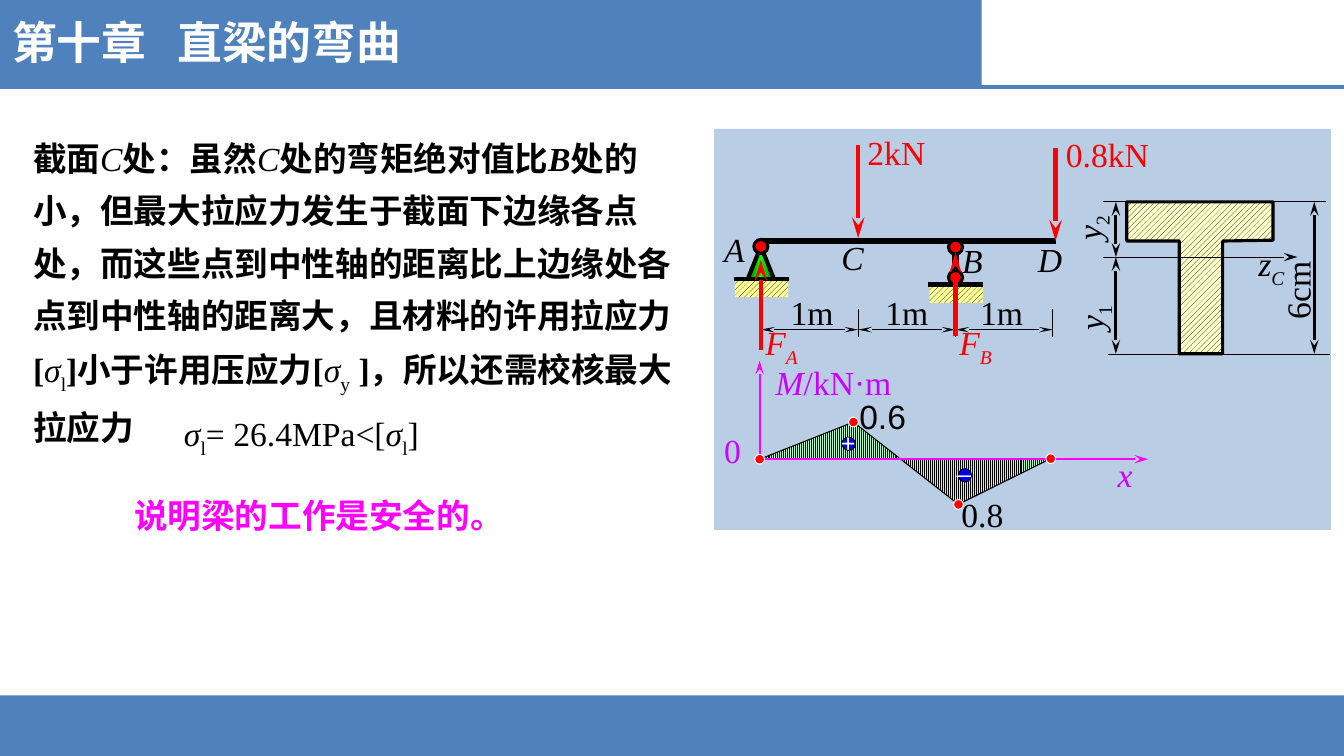
from copy import deepcopy
from itertools import pairwise
from lxml.etree import SubElement
from pptx import Presentation
from pptx.dml.color import RGBColor
from pptx.enum.dml import MSO_PATTERN
from pptx.enum.shapes import MSO_CONNECTOR, MSO_SHAPE
from pptx.enum.text import MSO_ANCHOR, PP_ALIGN
from pptx.oxml.ns import qn
from pptx.util import Pt

BLUE, RED, PINK, PLUM, BLACK, WHITE = "4F81BD", "FF0000", "FF00FF", "CC00FF", "000000", "FFFFFF"
SERIF, SANS, HAN = "Times New Roman", "Arial", "Noto Sans CJK SC"
LEFT, MID, RIGHT = PP_ALIGN.LEFT, PP_ALIGN.CENTER, PP_ALIGN.RIGHT
SPAN = 69.5


def hue(code):
    return RGBColor.from_string(code)


def put(item, form):
    for name, value in form.items():
        setattr(item, name, value)


def write(shape, runs, color=BLACK, size=24, face=SERIF, align=LEFT, space=1.0, wrap=True):
    frame = shape.text_frame
    put(frame, {"word_wrap": wrap, "vertical_anchor": MSO_ANCHOR.TOP})
    para = frame.paragraphs[0]
    put(para, {"alignment": align, "line_spacing": space})
    para._p.get_or_add_pPr().set("hangingPunct", "0")
    for words, marks in runs:
        run = para.add_run()
        run.text = words
        put(run.font, {"name": face, "size": Pt(size), "bold": "b" in marks, "italic": "i" in marks})
        run.font.color.rgb = hue(color)
        props = run._r.get_or_add_rPr()
        SubElement(props, qn("a:ea")).set("typeface", HAN)
        if "s" in marks:
            props.set("baseline", "-25000")


def label(slide, box, runs, turn=0, **form):
    shape = slide.shapes.add_textbox(*map(Pt, box))
    shape.rotation = turn
    write(shape, runs, **form)


def line(slide, start, end, color=BLACK, width=0.75, tips=(), wide="med", long="lg"):
    link = slide.shapes.add_connector(MSO_CONNECTOR.STRAIGHT, *map(Pt, (*start, *end)))
    link.line.color.rgb = hue(color)
    link.line.width = Pt(width)
    for tip in tips:
        mark = SubElement(link.line._get_or_add_ln(), qn(f"a:{tip}End"))
        for key, value in (("type", "stealth"), ("w", wide), ("len", long)):
            mark.set(key, value)
    SubElement(link._element.spPr, qn("a:effectLst"))


def paint(shape, fill, edge=None, width=0.75):
    shape.shadow.inherit = False
    if isinstance(fill, tuple):
        shape.fill.patterned()
        shape.fill.pattern = fill[0]
        shape.fill.fore_color.rgb = hue(BLACK)
        shape.fill.back_color.rgb = hue(fill[1])
    elif fill:
        shape.fill.solid()
        shape.fill.fore_color.rgb = hue(fill)
    if edge:
        shape.line.color.rgb = hue(edge)
        shape.line.width = Pt(width)
    else:
        shape.line.fill.background()


def block(slide, box, fill, edge=None, width=0.75, kind=MSO_SHAPE.RECTANGLE):
    shape = slide.shapes.add_shape(kind, *map(Pt, box))
    paint(shape, fill, edge, width)
    return shape


def dot(slide, spot, size, fill=RED, edge=WHITE, width=0.75):
    x, y = spot
    block(slide, (x - size / 2, y - size / 2, size, size), fill, edge, width, MSO_SHAPE.OVAL)


def shade(slide, spots, fill, edge=None, width=0.75):
    first, *rest = [(Pt(x), Pt(y)) for x, y in spots]
    form = slide.shapes.build_freeform(*first)
    form.add_line_segments(rest, close=True)
    paint(form.convert_to_shape(), fill, edge, width)


def header(slide, box):
    x, y, w, h = box
    block(slide, (x, y, 701.3, h), BLUE)
    line(slide, (x, y + h), (x + w, y + h), BLUE, 3)
    title = slide.shapes.title
    put(title, dict(zip(("left", "top", "width", "height"), map(Pt, (x + 1.4, y + 7.2, 640, 46)))))
    title.element.getparent().append(title.element)
    props = title.text_frame.paragraphs[0]._p.get_or_add_pPr()
    stop = SubElement(SubElement(props, qn("a:tabLst")), qn("a:tab"))
    stop.set("pos", str(Pt(118)))
    stop.set("algn", "l")
    write(title, [("第十章\t直梁的弯曲", "b")], WHITE, 32, HAN)


def proof(slide, box):
    x, y, w, h = box
    label(slide, (x, y, w, 196.6), [
        ("截面", "b"), ("C", "i"), ("处：虽然", "b"), ("C", "i"), ("处的弯矩绝对值比", "b"), ("B", "bi"),
        ("处的小，但最大拉应力发生于截面下边缘各点处，而这些点到中性轴的距离比上边缘处各点到中性轴的距离大，且材料的许用拉应力[", "b"),
        ("σ", "i"), ("l", "s"), ("]小于许用压应力[", "b"), ("σ", "i"), ("y", "s"),
        (" ]，所以还需校核最大拉应力", "b")], space=1.3)
    label(slide, (x + 107.8, y + 202, 300, 40), [
        ("σ", "i"), ("l", "s"), ("= 26.4MPa<[", ""), ("σ", "i"), ("l", "s"), ("]", "")], space=1.1)
    label(slide, (x + 72.2, y + 257.8, 310, 39), [("说明梁的工作是安全的。", "b")], color=PINK, space=1.2)


def ground(slide, x, y):
    block(slide, (x - 18.5, y, 38, 13), (MSO_PATTERN.WIDE_UPWARD_DIAGONAL, "FFFF99"))
    line(slide, (x - 19.5, y), (x + 20, y), width=3)


def beam(slide, box):
    x, y, w, h = box
    ends = [x + 33.3 + SPAN * i for i in range(4)]
    pin, load, prop, tip = ends
    line(slide, (x + 32, y + 80), (x + 244, y + 80), width=4.5)
    for end in ends:
        line(slide, (end, y + 129), (end, y + 149))
    for i, (one, two) in enumerate(pairwise(ends)):
        line(slide, (one, y + 143.5), (two, y + 143.5), width=0.5, tips=("head", "tail"), wide="sm")
        label(slide, (x + 35.8 + 67.7 * i, y + 113, 68, 35), [("1m", "")], align=MID)

    cone = block(slide, (pin - 10, y + 84, 20, 25), None, BLACK, 3, MSO_SHAPE.ISOSCELES_TRIANGLE)
    cone.fill.gradient()
    cone.fill.gradient_angle = 0
    stops = cone._element.spPr.find(qn("a:gradFill")).find(qn("a:gsLst"))
    stops.insert(1, deepcopy(stops[0]))
    for stop, (place, color) in zip(cone.fill.gradient_stops, ((0, "007600"), (0.5, "00FF00"), (1, "007600"))):
        stop.position = place
        stop.color.rgb = hue(color)
    ground(slide, pin, y + 107.3)
    line(slide, (prop, y + 106.5), (prop, y + 88), width=4.5)
    ground(slide, prop, y + 111.3)
    for spot in ((pin, y + 84), (prop, y + 84.5), (prop, y + 106.2)):
        dot(slide, spot, 10, RED, BLACK, 2.25)

    for at, start, end in ((load, 11.5, 78), (tip + 2, 13.5, 80), (pin, 158, 93.6), (prop, 148, 88.5)):
        line(slide, (at, y + start), (at, y + end), RED, 3, ("tail",))
    for dx, dy, name in ((0, 67.7, "A"), (83.8, 73.4, "C"), (170, 75.6, "B"), (224, 75, "D")):
        label(slide, (x + dx, y + dy, 44, 37), [(name, "i")])
    for dx, name in ((29.5, "A"), (168, "B")):
        label(slide, (x + dx, y + 134.5, 56, 33), [("F", "i"), (name, "is")], color=RED)
    for dx, dy, name in ((102.3, -1.4, "2kN"), (244, 0, "0.8kN")):
        label(slide, (x + dx, y + dy, 79, 43), [(name, "")], color=RED)


def moment(slide, box):
    x, y, w, h = box
    spots = [(x + dx, y + dy) for dx, dy in ((32.4, 236), (99.4, 209.5), (174.4, 268.3), (240.3, 235.6))]
    shade(slide, spots, (MSO_PATTERN.LIGHT_VERTICAL, "A3FFD1"))
    for one, two in pairwise(spots):
        line(slide, one, two)
    for end in ((x + 310, y + 236), (x + 32.4, y + 165.6)):
        line(slide, spots[0], end, PINK, 1.5, ("tail",))
    for spot in spots:
        dot(slide, spot, 7)
    for dx, dy, rise, sign in ((96, 225, 15, "+"), (179, 247.5, 23.5, "_")):
        dot(slide, (x + dx, y + dy), 9.5, "0000FF", BLACK)
        label(slide, (x + dx - 12.7, y + dy - rise, 27, 29), [(sign, "")], color=WHITE, size=18, face=SANS)
    label(slide, (x + 96.5, y + 187.2, 50, 37), [("0.6", "")], face=SANS)
    label(slide, (x + 169.4, y + 257, 55, 29), [("0.8", "")])
    label(slide, (x, y + 211.7, 32, 45), [("0", "")], color=PLUM)
    label(slide, (x + 34.7, y + 163, 101, 35), [("M", "i"), ("/kN·m", "")], color=PLUM, align=MID, wrap=False)
    label(slide, (x + 270, y + 228.4, 47, 35), [("x", "i")], color=PLUM, align=MID)


def profile(slide, box):
    x, y, w, h = box
    axis = y + 39.4
    spots = ((17, 0), (121.5, 0), (121.5, 27.4), (85.5, 28), (85.5, h), (54.5, h), (54.5, 28), (17, 28))
    shade(slide, [(x + dx, y + dy) for dx, dy in spots],
          (MSO_PATTERN.WIDE_UPWARD_DIAGONAL, "FFFFCC"), BLACK, 2.25)
    line(slide, (x, y), (x + w, y))
    line(slide, (x + 3.5, y + h), (x + w + 3, y + h), width=0.25)
    line(slide, (x, axis), (x + 139, axis), width=0.25, tips=("tail",))
    for dx, start, end in ((9.3, y, axis), (9.3, axis, y + h), (151, y, y + h)):
        line(slide, (x + dx, start), (x + dx, end), width=0, tips=("head", "tail"))
    label(slide, (x - 29.2, y + 3.5, 39, 38), [("y", "i"), ("2", "s")], 270, align=RIGHT)
    label(slide, (x - 26.5, y + 64, 37, 38), [("y", "i"), ("1", "s")], 270, align=MID)
    label(slide, (x + 104, y + 26, 44, 38), [("z", "i"), ("C", "is")])
    label(slide, (x + 106.6, y + 42.5, 62.6, 34), [("6cm", "")], 270)


def main():
    deck = Presentation()
    put(deck, {"slide_width": Pt(960), "slide_height": Pt(540)})
    slide = deck.slides.add_slide(deck.slide_layouts[5])
    panel = (510.2, 92, 440.5, 286.5)
    block(slide, (0, 496.8, 960, 43.2), BLUE)
    header(slide, (0, 0, 960, 62))
    block(slide, panel, "B9CDE5")
    moment(slide, panel)
    profile(slide, (787.8, 144.2, 159, 108.5))
    beam(slide, panel)
    proof(slide, (16.5, 86.4, 494, 297))
    deck.save("out.pptx")


if __name__ == "__main__":
    main()
